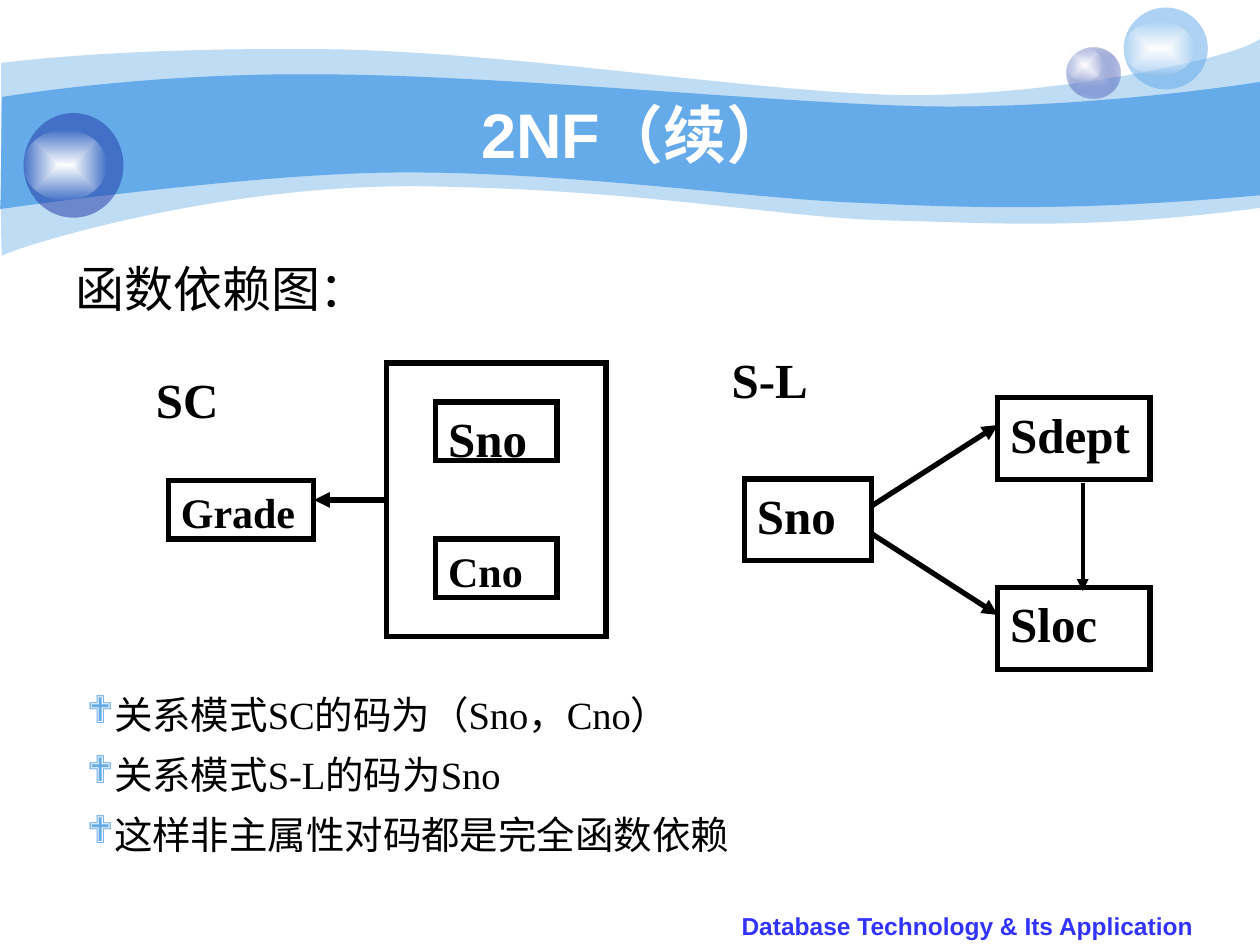
"""Build the 2NF slide with its functional dependency diagrams."""
from pptx import Presentation
from pptx.dml.color import RGBColor
from pptx.enum.shapes import MSO_CONNECTOR, MSO_SHAPE
from pptx.enum.text import MSO_ANCHOR, MSO_AUTO_SIZE, PP_ALIGN
from pptx.oxml import parse_xml
from pptx.oxml.ns import nsdecls, qn
from pptx.util import Pt

BLACK = RGBColor(0, 0, 0)
WHITE = RGBColor(0xFF, 0xFF, 0xFF)
SKY = RGBColor(0x65, 0xAA, 0xE9)
NAVY = RGBColor(0x23, 0x3D, 0xA9)
PALE = RGBColor(0xC7, 0xCE, 0xE9)
BLUE = RGBColor(0x33, 0x33, 0xFF)
SANS, SERIF = "Arial", "Times New Roman"

WAVES = [
    (41, [(0.7, 36),
          (18, 33.8, 77.8, 27.4, 177.8, 28.1),
          (277.9, 28.1, 414.7, 50.4, 503.3, 54),
          (591.8, 57.6, 705.6, 33.8, 720, 22.3),
          (720, 118.8),
          (622.1, 131.8, 567.4, 127.4, 507.6, 126),
          (447.8, 124.6, 370.8, 108.7, 247.7, 106.6),
          (123.8, 103.7, 3.6, 143.3, 1.4, 146.2),
          (0, 149.8, 0.7, 54, 0.7, 36)]),
    (100, [(1.4, 55.4),
           (2.2, 55.4, 79.9, 41.8, 179.3, 42.5),
           (278.6, 42.5, 429.1, 57.6, 517.7, 60.5),
           (605.5, 63.4, 702.7, 49.7, 720, 46.8),
           (720, 111.6),
           (614.2, 121, 551.5, 118.8, 491, 115.9),
           (431.3, 113.8, 322.6, 97.9, 229, 98.6),
           (146.9, 98.6, -0.7, 119.5, 0, 119.5),
           (0.7, 119.5, 0.7, 55.4, 1.4, 55.4)]),
]
GLOW = [(WHITE, 100), (WHITE, 0)]
BALLS = [
    ((609.8, 27.1, 30.4, 29.2), [(PALE, 100), (NAVY, 31)]),
    ((609.8, 27.1, 20.2, 19.4), GLOW),
    ((642.2, 4.3, 48, 46.8), [(SKY, 53)]),
    ((642.2, 12.2, 40.3, 31), GLOW),
    ((13.5, 64.6, 57, 59.8), [(NAVY, 53)]),
    ((13.5, 74.2, 47.5, 40.3), GLOW),
]
BOXES = [
    ("", 28, (221, 207.5, 125.3, 156.2)),
    ("Sno", 28, (249, 229.8, 69.3, 33.5)),
    ("Cno", 24, (249, 308, 69.3, 33.5)),
    ("Grade", 24, (96.3, 274.5, 83, 33.5)),
    ("Sno", 28, (425.4, 273.7, 72.7, 46.8)),
    ("Sdept", 28, (570.2, 227.3, 87, 46.8)),
    ("Sloc", 28, (570.2, 335.7, 87, 46.8)),
]
ARROWS = [
    ((221, 285.7, 179.5, 285.7), 3),
    ((497.8, 289.3, 570.2, 242.9), 3),
    ((497.8, 304.8, 570.2, 351.4), 3),
    ((618.7, 275.8, 618.7, 337.7), 2.25),
]
TAG = dict(name=SERIF, size=Pt(28), bold=True)
LABELS = [
    ("2NF（续）", (72, 54, 581.8, 44.6), PP_ALIGN.CENTER, MSO_ANCHOR.MIDDLE,
     dict(name=SANS, size=Pt(36), bold=True), WHITE),
    ("函数依赖图：", (36, 144, 648, 354), PP_ALIGN.LEFT, MSO_ANCHOR.TOP,
     dict(name=SANS, size=Pt(28)), BLACK),
    ("SC", (82, 207.5, 70, 33.5), PP_ALIGN.JUSTIFY, MSO_ANCHOR.TOP, TAG, BLACK),
    ("S-L", (411, 196, 87, 46.8), PP_ALIGN.JUSTIFY, MSO_ANCHOR.TOP, TAG, BLACK),
    ("Database Technology & Its Application", (411, 517, 283.7, 25),
     PP_ALIGN.CENTER, MSO_ANCHOR.TOP,
     dict(name=SANS, size=Pt(14), bold=True), BLUE),
]
NOTES = ["关系模式SC的码为（Sno，Cno）", "关系模式S-L的码为Sno",
         "这样非主属性对码都是完全函数依赖"]
NOTE_BOX = (42.5, 383.4, 481.7, 110)


def style(item, form):
    for key, val in form.items():
        setattr(item, key, val)


def points(nums):
    return [Pt(num) for num in nums]


def make(tag, attrs="", inner=""):
    return parse_xml(f'<a:{tag} {nsdecls("a")} {attrs}>{inner}</a:{tag}>')


def tint(color, alpha):
    if alpha == 100:
        return f'<a:srgbClr val="{color}"/>'
    return f'<a:srgbClr val="{color}"><a:alpha val="{alpha * 1000}"/></a:srgbClr>'


def paint(shape, stops):
    shape.fill.background()
    if len(stops) == 1:
        fill = make("solidFill", inner=tint(*stops[0]))
    else:
        marks = "".join(f'<a:gs pos="{at * 100000}">{tint(*stop)}</a:gs>'
                        for at, stop in enumerate(stops))
        fill = make("gradFill", 'rotWithShape="1"', f'<a:gsLst>{marks}</a:gsLst>'
                    '<a:path path="rect"><a:fillToRect l="50000" t="50000" '
                    'r="50000" b="50000"/></a:path>')
    props = shape._element.spPr
    props.replace(props.find(qn("a:noFill")), fill)
    shape.line.fill.background()
    shape.shadow.inherit = False


def add_wave(shapes, alpha, parts):
    pen = shapes.build_freeform(*points(parts[0]))
    spots = [points(part[at:at + 2]) for part in parts[1:]
             for at in range(0, len(part), 2)]
    pen.add_line_segments(spots, close=True)
    wave = pen.convert_to_shape()
    lines = iter(list(wave._element.iter(qn("a:lnTo"))))
    for part in parts[1:]:
        if len(part) == 6:
            trio = [next(lines) for _ in range(3)]
            curve = make("cubicBezTo")
            trio[0].addprevious(curve)
            for line in trio:
                curve.append(line[0])
                line.getparent().remove(line)
        else:
            next(lines)
    paint(wave, [(SKY, alpha)])


def write(frame, text, align, anchor, form, color):
    style(frame, dict(word_wrap=True, vertical_anchor=anchor))
    para = frame.paragraphs[0]
    para.text, para.alignment = text, align
    style(para.runs[0].font, form)
    para.runs[0].font.color.rgb = color


def add_notes(shapes):
    frame = shapes.add_textbox(*points(NOTE_BOX)).text_frame
    style(frame, dict(word_wrap=True, vertical_anchor=MSO_ANCHOR.MIDDLE,
                      auto_size=MSO_AUTO_SIZE.SHAPE_TO_FIT_TEXT))
    for num, note in enumerate(NOTES):
        para = frame.add_paragraph() if num else frame.paragraphs[0]
        para.text, para.line_spacing = note, 1.3
        props = para._p.get_or_add_pPr()
        for mark in (make("buClr", inner=tint(SKY, 100)),
                     make("buFont", 'typeface="Wingdings"'),
                     make("buChar", 'char="❖"')):
            props.append(mark)
        style(para.runs[0].font, dict(name=SERIF, size=Pt(22)))
        para.runs[0].font.color.rgb = BLACK


def main():
    deck = Presentation()
    style(deck, dict(slide_width=Pt(720), slide_height=Pt(540)))
    shapes = deck.slides.add_slide(deck.slide_layouts[6]).shapes
    for alpha, parts in WAVES:
        add_wave(shapes, alpha, parts)
    for place, stops in BALLS:
        paint(shapes.add_shape(MSO_SHAPE.OVAL, *points(place)), stops)
    for text, place, *look in LABELS:
        write(shapes.add_textbox(*points(place)).text_frame, text, *look)
    for text, size, place in BOXES:
        box = shapes.add_shape(MSO_SHAPE.RECTANGLE, *points(place))
        box.fill.background()
        box.line.color.rgb, box.line.width = BLACK, Pt(3)
        box.line._get_or_add_ln().append(make("miter", 'lim="800000"'))
        box.shadow.inherit = False
        if text:
            write(box.text_frame, text, PP_ALIGN.JUSTIFY, MSO_ANCHOR.TOP,
                  {**TAG, "size": Pt(size)}, BLACK)
    for ends, width in ARROWS:
        link = shapes.add_connector(MSO_CONNECTOR.STRAIGHT, *points(ends))
        link.line.color.rgb, link.line.width = BLACK, Pt(width)
        link.line._get_or_add_ln().append(make("tailEnd", 'type="triangle"'))
        link._element.spPr.append(make("effectLst"))
    add_notes(shapes)
    deck.save("out.pptx")


if __name__ == "__main__":
    main()
